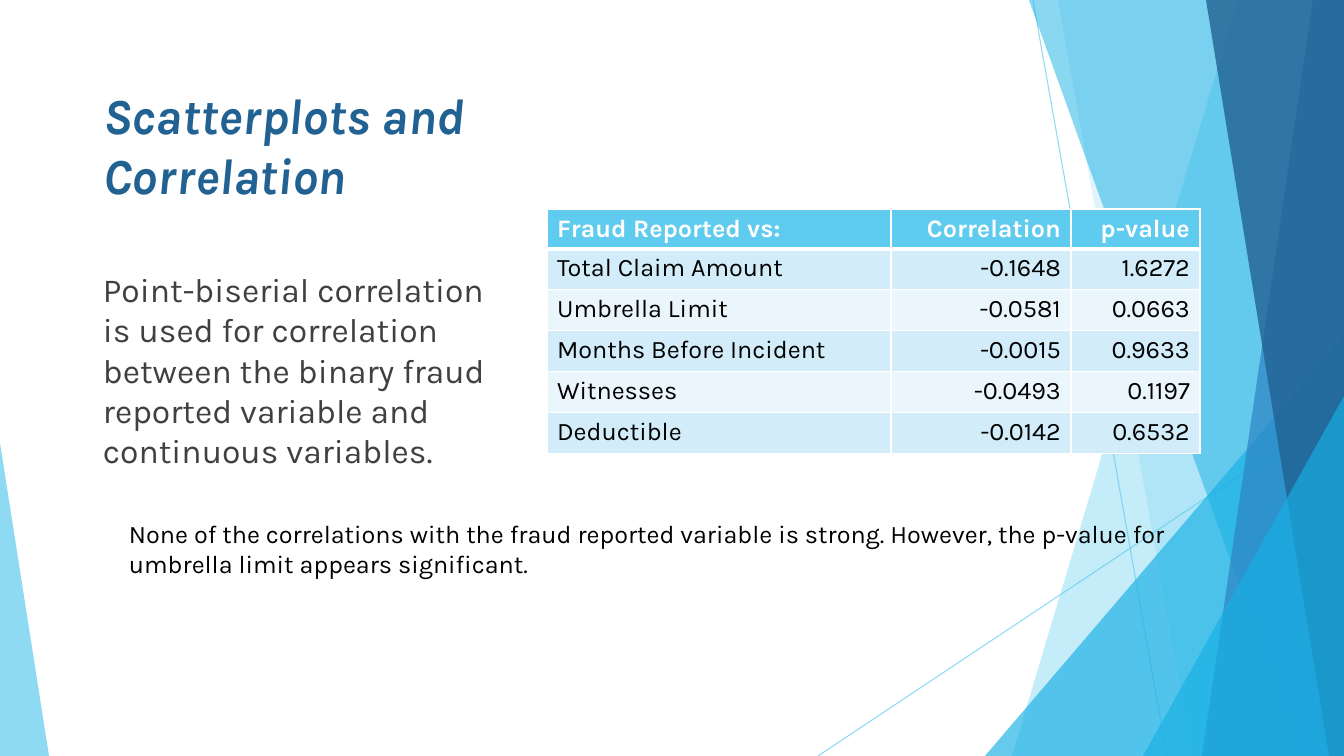
from dataclasses import dataclass

from lxml import etree
from pptx import Presentation
from pptx.dml.color import RGBColor
from pptx.enum.shapes import MSO_CONNECTOR, MSO_SHAPE
from pptx.enum.text import MSO_ANCHOR, MSO_AUTO_SIZE, PP_ALIGN
from pptx.oxml.ns import qn
from pptx.util import Pt

EMU_PER_PIXEL = 914400 / 100.8
SLIDE_WIDTH, SLIDE_HEIGHT = 1344, 756
TITLE_ONLY_LAYOUT = 5
STRAIGHT = MSO_CONNECTOR.STRAIGHT
TRIANGLE = MSO_SHAPE.ISOSCELES_TRIANGLE
LEFT, RIGHT = PP_ALIGN.LEFT, PP_ALIGN.RIGHT
TOP, BOTTOM = MSO_ANCHOR.TOP, MSO_ANCHOR.BOTTOM
NO_AUTOFIT = MSO_AUTO_SIZE.NONE


@dataclass(frozen=True)
class Theme:
    font: str = "Karla"
    title_size: int = 36
    body_size: int = 24
    small_size: int = 18
    white: str = "FFFFFF"
    black: str = "000000"
    gray: str = "404040"
    sky: str = "5FCBEF"
    cyan: str = "17B0E4"
    blue: str = "2E83C3"
    navy: str = "226292"
    row_fills: tuple = ("D2ECF9", "EAF6FC")


def emu(pixels):
    return round(pixels * EMU_PER_PIXEL)


def add_alpha(element, percent):
    color = next(element.iter(qn("a:srgbClr")))
    etree.SubElement(color, qn("a:alpha"), val=str(percent * 1000))


class SlideBuilder:
    def __init__(self, slide, theme):
        self.slide = slide
        self.shapes = slide.shapes
        self.theme = theme

    def style_paragraph(self, paragraph, size, color, bold=False, italic=False, align=LEFT):
        paragraph.alignment = align
        font = paragraph.font
        font.name, font.size = self.theme.font, Pt(size)
        font.bold, font.italic = bold, italic
        font.color.rgb = RGBColor.from_string(color)

    def fill_shape(self, shape, color, opacity):
        shape.shadow.inherit = False
        shape.line.fill.background()
        shape.fill.solid()
        shape.fill.fore_color.rgb = RGBColor.from_string(color)
        add_alpha(shape._element.spPr, opacity)

    def line(self, start, end, color, opacity):
        connector = self.shapes.add_connector(STRAIGHT, *map(emu, start + end))
        connector.line.width = Pt(0.75)
        connector.line.color.rgb = RGBColor.from_string(color)
        properties = connector._element.spPr
        add_alpha(properties, opacity)
        etree.SubElement(properties, qn("a:effectLst"))

    def band(self, top_x, bottom_x, color, opacity):
        """Full-height band that reaches the right edge of the slide."""
        outline = self.shapes.build_freeform(top_x, 0, EMU_PER_PIXEL)
        outline.add_line_segments(
            [(SLIDE_WIDTH, 0), (SLIDE_WIDTH, SLIDE_HEIGHT), (bottom_x, SLIDE_HEIGHT)])
        self.fill_shape(outline.convert_to_shape(), color, opacity)

    def triangle(self, left, top, width, apex, color, opacity):
        """Triangle that stands on the bottom edge of the slide."""
        box = (left, top, width, SLIDE_HEIGHT - top)
        shape = self.shapes.add_shape(TRIANGLE, *map(emu, box))
        shape.adjustments[0] = apex
        self.fill_shape(shape, color, opacity)

    def set_text(self, shape, text, anchor, **style):
        frame = shape.text_frame
        frame.text = text
        frame.word_wrap = True
        frame.auto_size = NO_AUTOFIT
        frame.vertical_anchor = anchor
        self.style_paragraph(frame.paragraphs[0], **style)

    def title(self, text, box, **style):
        shape = self.shapes.title
        shape.left, shape.top, shape.width, shape.height = map(emu, box)
        self.set_text(shape, text, BOTTOM, **style)

    def text(self, text, box, **style):
        self.set_text(self.shapes.add_textbox(*map(emu, box)), text, TOP, **style)

    def cell_borders(self, cell, top, bottom):
        properties = cell._tc.get_or_add_tcPr()
        widths = {"a:lnL": 1, "a:lnR": 1, "a:lnT": top, "a:lnB": bottom}
        for index, (tag, width) in enumerate(widths.items()):
            border = etree.Element(qn(tag), w=str(Pt(width)))
            fill = etree.SubElement(border, qn("a:solidFill"))
            etree.SubElement(fill, qn("a:srgbClr"), val=self.theme.white)
            properties.insert(index, border)

    def table(self, rows, left, top, column_widths, row_heights):
        theme = self.theme
        box = (left, top, sum(column_widths), sum(row_heights))
        table = self.shapes.add_table(len(rows), len(rows[0]), *map(emu, box)).table
        for column, width in zip(table.columns, column_widths):
            column.width = emu(width)
        for row, height in zip(table.rows, row_heights):
            row.height = emu(height)
        for row_index, values in enumerate(rows):
            header = row_index == 0
            fill = theme.sky if header else theme.row_fills[(row_index - 1) % 2]
            for column_index, value in enumerate(values):
                cell = table.cell(row_index, column_index)
                cell.text = value
                cell.fill.solid()
                cell.fill.fore_color.rgb = RGBColor.from_string(fill)
                self.cell_borders(cell, 3 if row_index == 1 else 1, 3 if header else 1)
                self.style_paragraph(
                    cell.text_frame.paragraphs[0], theme.small_size,
                    theme.white if header else theme.black, bold=header,
                    align=RIGHT if column_index else LEFT)


presentation = Presentation()
presentation.slide_width = emu(SLIDE_WIDTH)
presentation.slide_height = emu(SLIDE_HEIGHT)
theme = Theme()
slide = presentation.slides.add_slide(presentation.slide_layouts[TITLE_ONLY_LAYOUT])
builder = SlideBuilder(slide, theme)

# Faceted background, from back to front
builder.line((1033, 0), (1167, 756), theme.sky, 70)
builder.line((1344, 406), (818, 756), theme.sky, 70)
builder.band(1238, 1012, theme.sky, 36)
builder.band(1058, 1192, theme.sky, 20)
builder.triangle(985, 336, 359, 1, theme.cyan, 66)
builder.band(1029, 1301, theme.cyan, 50)
builder.band(1313, 1202, theme.blue, 70)
builder.band(1206, 1329, theme.navy, 80)
builder.triangle(1143, 396, 201, 1, theme.cyan, 66)
builder.triangle(0, 443, 49, 0, theme.sky, 70)

# Title
builder.title("Scatterplots and Correlation", (93, 69, 425, 141),
              size=theme.title_size, color=theme.navy, bold=True, italic=True)

# Correlation table
correlations = [
    ("Fraud Reported vs:", "Correlation", "p-value"),
    ("Total Claim Amount", "-0.1648", "1.6272"),
    ("Umbrella Limit", "-0.0581", "0.0663"),
    ("Months Before Incident", "-0.0015", "0.9633"),
    ("Witnesses", "-0.0493", "0.1197"),
    ("Deductible", "-0.0142", "0.6532"),
]
builder.table(correlations, 547, 209, (344, 180, 129), [35] + [41] * 5)

# Method and conclusion
builder.text("Point-biserial correlation is used for correlation between the binary "
             "fraud reported variable and continuous variables.",
             (93, 264, 433, 208), size=theme.body_size, color=theme.gray)
builder.text("None of the correlations with the fraud reported variable is strong. "
             "However, the p-value for umbrella limit appears significant.",
             (119, 513, 1132, 72), size=theme.small_size, color=theme.black)

presentation.save("out.pptx")
